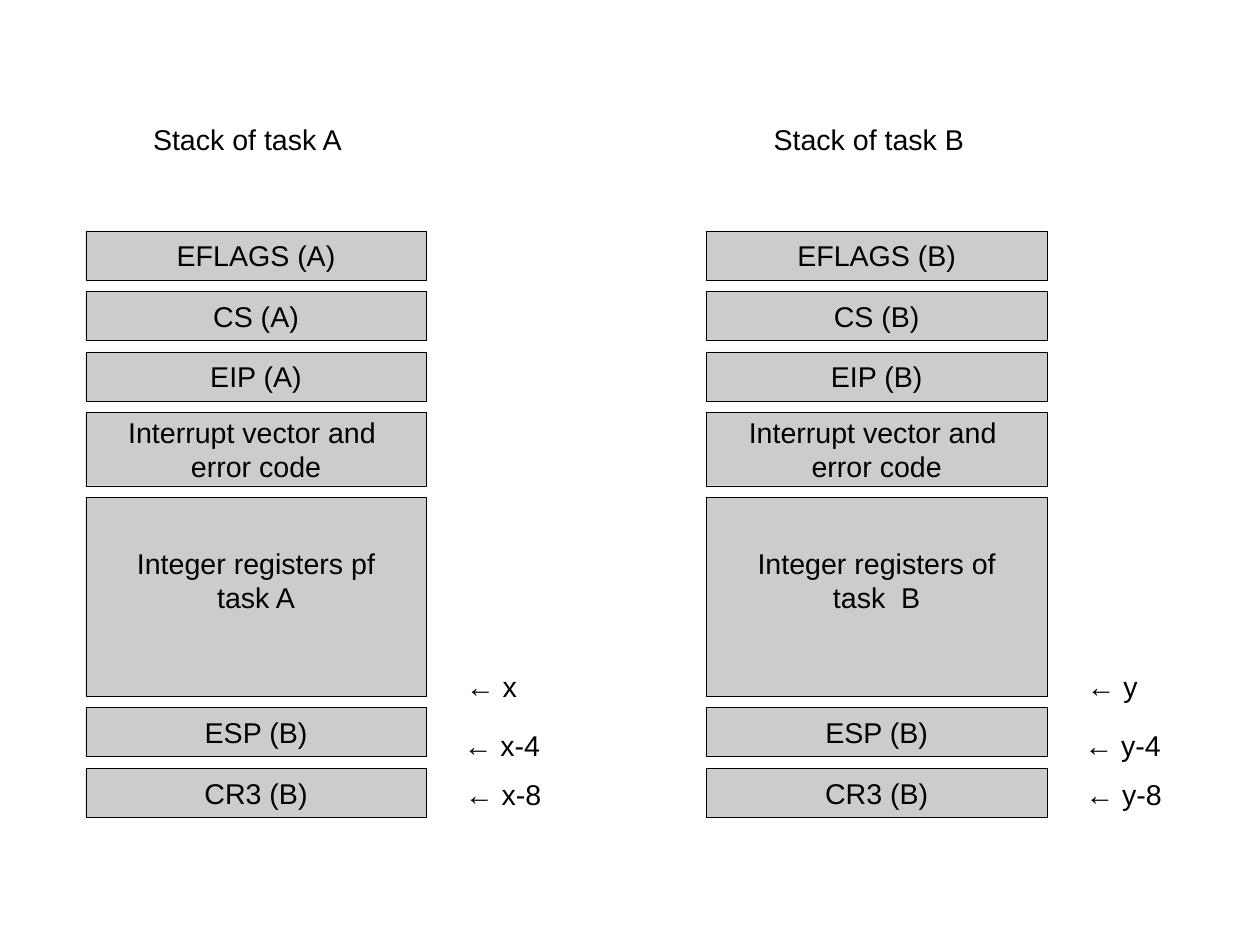
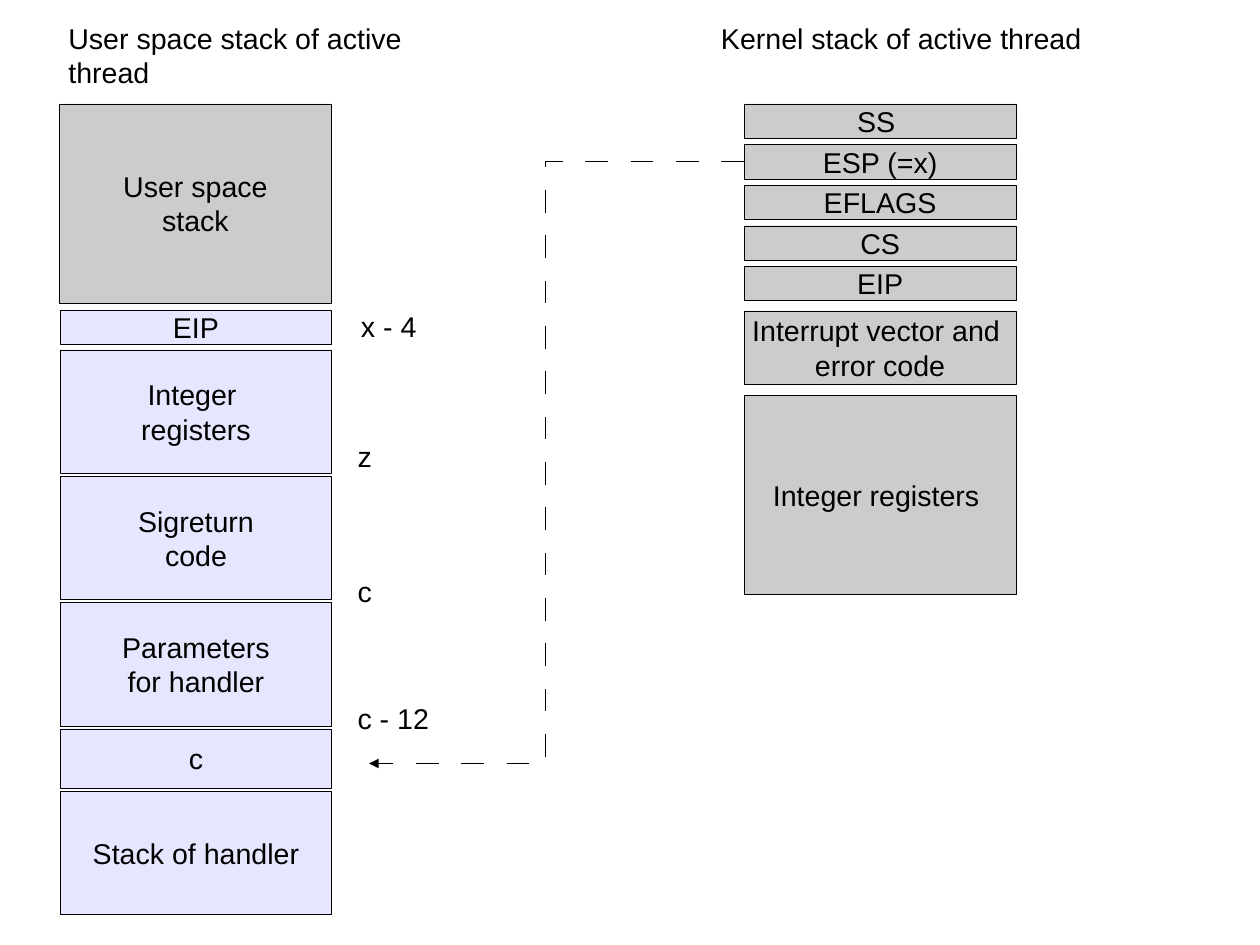
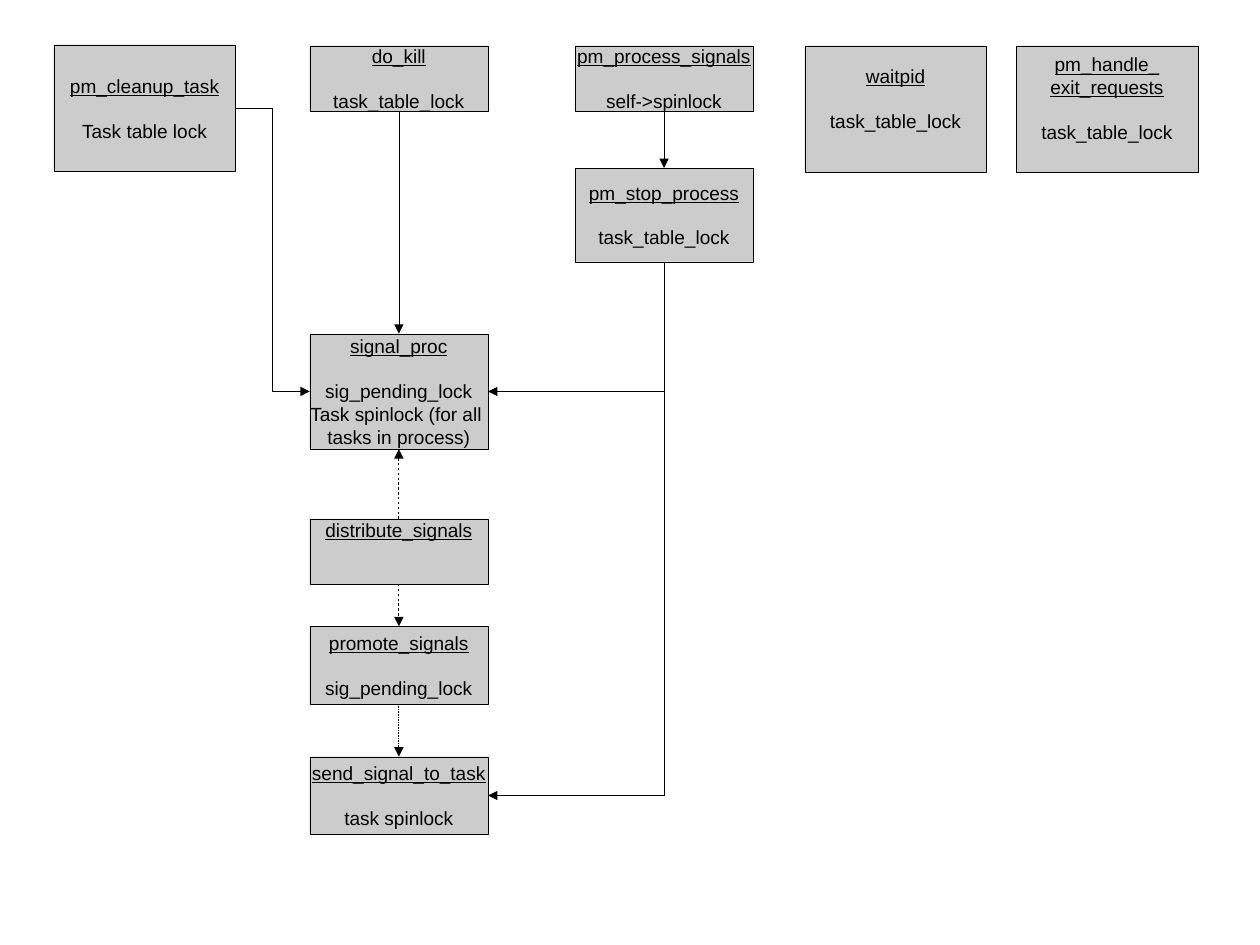
from lxml.etree import SubElement
from pptx import Presentation
from pptx.dml.color import RGBColor
from pptx.enum.shapes import MSO_CONNECTOR, MSO_SHAPE
from pptx.enum.text import MSO_ANCHOR, MSO_AUTO_SIZE, PP_ALIGN
from pptx.oxml.ns import qn
from pptx.util import Cm, Inches, Pt

BLACK = "000000"
GREY = "CCCCCC"
LAVENDER = "E6E6FF"
TOP, LEFT, BOTTOM, RIGHT = range(4)
HAIRLINE = 0.1
DASHED_LINE = 0.5
LINE_SPACING = 1.15
INSET = 0.05
INTERRUPT = ["Interrupt vector and ", "error code"]


def rgb(color):
    return RGBColor.from_string(color)


def set_formats(target, formats):
    for name, value in formats.items():
        setattr(target, name, value)


def write_lines(frame, lines, size=18, align=PP_ALIGN.LEFT, underlined=0):
    """Write one paragraph per line; the first `underlined` lines form a
    heading that is set off from the rest by the height of one line."""
    for number, line in enumerate(lines):
        paragraph = frame.paragraphs[0] if number == 0 else frame.add_paragraph()
        paragraph.alignment = align
        if underlined and number == underlined:
            paragraph.space_before = Pt(size * LINE_SPACING)
        run = paragraph.add_run()
        run.text = line
        set_formats(run.font, {"name": "Arial", "size": Pt(size)})
        run.font.color.rgb = rgb(BLACK)
        if number < underlined:
            run.font.underline = True


def add_box(slide, lines, left, top, width, height, fill=GREY, size=18,
            underlined=0, lines_below=0):
    """Add a bordered box; `lines_below` lifts its text by reserving room."""
    box = slide.shapes.add_shape(
        MSO_SHAPE.RECTANGLE, Inches(left), Inches(top), Inches(width), Inches(height))
    box.shadow.inherit = False
    box.fill.solid()
    box.fill.fore_color.rgb = rgb(fill)
    box.line.color.rgb = rgb(BLACK)
    box.line.width = Pt(HAIRLINE)
    reserved = Pt(size * LINE_SPACING * lines_below)
    set_formats(box.text_frame, {
        "word_wrap": False,
        "vertical_anchor": MSO_ANCHOR.MIDDLE,
        "margin_bottom": Inches(INSET) + reserved,
    })
    write_lines(box.text_frame, lines, size, PP_ALIGN.CENTER, underlined)
    return box


def add_stack(slide, left, top, bottom, width, entries, fill=GREY):
    """Spread (lines, height, lines below) entries evenly from top to bottom."""
    heights = [height for _, height, _ in entries]
    gap = (bottom - top - sum(heights)) / (len(entries) - 1)
    boxes = []
    for lines, height, lines_below in entries:
        boxes.append(add_box(slide, lines, left, top, width, height, fill,
                             lines_below=lines_below))
        top += height + gap
    return boxes


def add_label(slide, text, left, top, width, height=0.38):
    label = slide.shapes.add_textbox(
        Inches(left), Inches(top), Inches(width), Inches(height))
    set_formats(label.text_frame, {
        "word_wrap": True, "auto_size": MSO_AUTO_SIZE.SHAPE_TO_FIT_TEXT})
    write_lines(label.text_frame, [text])


def finish_arrow(arrow, dash=0):
    """Format an arrow; `dash` is the dash and gap length in line widths."""
    arrow.line.color.rgb = rgb(BLACK)
    arrow.line.width = Pt(DASHED_LINE if dash else HAIRLINE)
    properties = arrow._element.spPr
    line = properties.find(qn("a:ln"))
    if dash:
        pattern = SubElement(line, qn("a:custDash"))
        length = str(dash * 100000)
        SubElement(pattern, qn("a:ds"), d=length, sp=length)
    SubElement(line, qn("a:tailEnd"), type="triangle")
    SubElement(properties, qn("a:effectLst"))


def join(slide, source, source_side, target, target_side,
         kind=MSO_CONNECTOR.STRAIGHT, dash=0):
    arrow = slide.shapes.add_connector(kind, 0, 0, 0, 0)
    arrow.begin_connect(source, source_side)
    arrow.end_connect(target, target_side)
    finish_arrow(arrow, dash)
    return arrow


def join_down_left(slide, source, target):
    """Join the bottom of source to the right of target with one bend."""
    arrow = join(slide, source, BOTTOM, target, RIGHT, MSO_CONNECTOR.ELBOW)
    center_x = (arrow.begin_x + arrow.end_x) // 2
    center_y = (arrow.begin_y + arrow.end_y) // 2
    half_run = abs(arrow.end_y - arrow.begin_y) // 2
    half_rise = abs(arrow.end_x - arrow.begin_x) // 2
    set_formats(arrow, {
        "begin_x": center_x - half_run, "end_x": center_x + half_run,
        "begin_y": center_y - half_rise, "end_y": center_y + half_rise,
        "rotation": 90,
    })
    arrow._element.spPr.find(qn("a:prstGeom")).set("prst", "bentConnector2")


def build_task_stacks(slide):
    tasks = [
        (0.75, "A", "x", ["Integer registers pf", "task A"]),
        (6.18, "B", "y", ["Integer registers of", "task  B"]),
    ]
    for left, task, pointer, registers in tasks:
        add_stack(slide, left, 2.02, 7.15, 2.98, [
            ([f"EFLAGS ({task})"], 0.43, 0),
            ([f"CS ({task})"], 0.43, 0),
            ([f"EIP ({task})"], 0.43, 0),
            (INTERRUPT, 0.64, 0),
            (registers, 1.74, 1),
            (["ESP (B)"], 0.43, 0),
            (["CR3 (B)"], 0.43, 0),
        ])
        for offset, shift, top in [("", 3.23, 5.8), ("-4", 3.21, 6.32), ("-8", 3.22, 6.75)]:
            add_label(slide, f"← {pointer}{offset}", left + shift, top, 1.02)
        add_label(slide, f"Stack of task {task}", left + 0.49, 1.02, 3.11)


def build_signal_stacks(slide):
    add_label(slide, "User space stack of active thread", 0.5, 0.13, 3.63, 0.66)
    add_box(slide, ["User space", "stack"], 0.52, 0.91, 2.38, 1.74)
    add_box(slide, ["EIP"], 0.53, 2.71, 2.37, 0.3, LAVENDER)
    add_stack(slide, 0.53, 3.06, 8, 2.37, [
        (["Integer ", "registers"], 1.08, 0),
        (["Sigreturn", "code"], 1.08, 0),
        (["Parameters", "for handler"], 1.08, 0),
        (["c"], 0.52, 0),
        (["Stack of handler"], 1.08, 0),
    ], LAVENDER)
    for address, left, top in [("x - 4", 3.06, 2.65), ("z", 3.03, 3.79),
                               ("c", 3.03, 4.97), ("c - 12", 3.03, 6.08)]:
        add_label(slide, address, left, top, 2)

    add_label(slide, "Kernel stack of active thread", 6.21, 0.13, 3.63)
    registers = ["SS ", "ESP (=x)", "EFLAGS", "CS", "EIP"]
    saved = add_stack(slide, 6.51, 0.91, 2.63, 2.38,
                      [([name], 0.3, 0) for name in registers])
    add_stack(slide, 6.51, 2.72, 5.2, 2.38,
              [(INTERRUPT, 0.64, 0), (["Integer registers "], 1.74, 0)])

    stack_pointer = slide.shapes.add_connector(
        MSO_CONNECTOR.ELBOW, Inches(6.51), Inches(1.42), Inches(3.23), Inches(6.68))
    stack_pointer.begin_connect(saved[1], LEFT)
    guides = stack_pointer._element.spPr.find(qn("a:prstGeom")).get_or_add_avLst()
    SubElement(guides, qn("a:gd"), name="adj1", fmla="val 53000")
    finish_arrow(stack_pointer, dash=28)


def build_lock_graph(slide):
    def add_function(heading, locks, left, top, width, height, lines_below=0):
        return add_box(slide, heading + locks, left, top, width, height, size=12,
                       underlined=len(heading), lines_below=lines_below)

    table_lock = ["task_table_lock"]
    cleanup = add_function(["pm_cleanup_task"], ["Task table lock"], 0.47, 0.39, 1.59, 1.11)
    kill = add_function(["do_kill"], table_lock, 2.71, 0.4, 1.56, 0.57)
    process = add_function(["pm_process_signals"], ["self->spinlock"], 5.03, 0.4, 1.56, 0.57)
    add_function(["waitpid"], table_lock, 7.04, 0.4, 1.59, 1.11, 1)
    add_function(["pm_handle_", "exit_requests"], table_lock, 8.89, 0.4, 1.59, 1.11, 1)
    stop = add_function(["pm_stop_process"], table_lock, 5.03, 1.47, 1.56, 0.82)
    signal = add_function(
        ["signal_proc"],
        ["sig_pending_lock", "Task spinlock (for all ", "tasks in process)"],
        2.71, 2.92, 1.56, 1.01)
    distribute = add_function(["distribute_signals"], [], 2.71, 4.54, 1.56, 0.57, 2)
    promote = add_function(["promote_signals"], ["sig_pending_lock"], 2.71, 5.48, 1.56, 0.68)
    send = add_function(["send_signal_to_task"], ["task spinlock"], 2.71, 6.62, 1.56, 0.68)

    join(slide, kill, BOTTOM, signal, TOP)
    join(slide, process, BOTTOM, stop, TOP)
    join(slide, distribute, TOP, signal, BOTTOM, dash=3)
    join(slide, distribute, BOTTOM, promote, TOP, dash=3)
    join(slide, promote, BOTTOM, send, TOP, dash=1)
    join(slide, cleanup, RIGHT, signal, LEFT, MSO_CONNECTOR.ELBOW)
    for target in (signal, send):
        join_down_left(slide, stop, target)


def main():
    deck = Presentation()
    deck.slide_width = Cm(28)
    deck.slide_height = Cm(21)
    blank = deck.slide_layouts[6]
    for build in (build_task_stacks, build_signal_stacks, build_lock_graph):
        build(deck.slides.add_slide(blank))
    deck.save("out.pptx")


if __name__ == "__main__":
    main()
